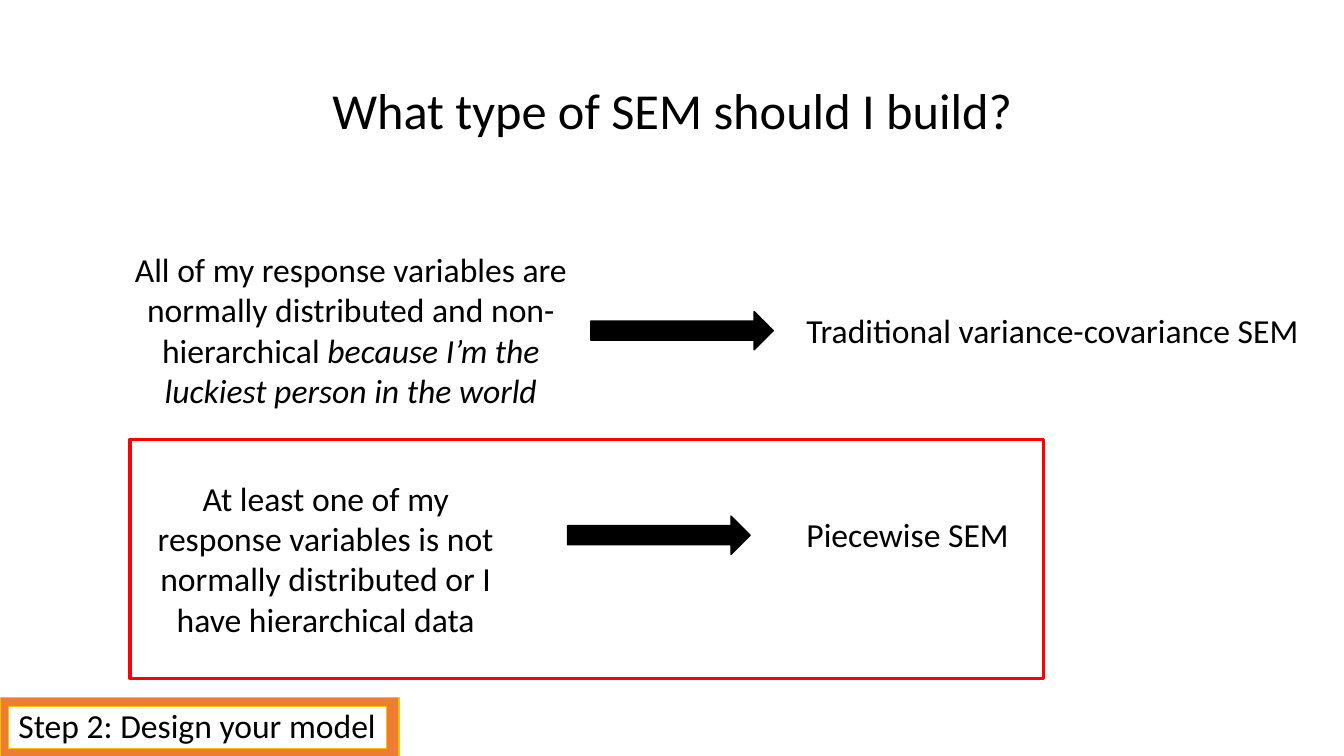
from pptx import Presentation
from pptx.dml.color import RGBColor
from pptx.enum import shapes, text
from pptx.util import Inches, Pt

COLORS = {"black": "000000", "white": "FFFFFF", "orange": "ED7D31",
          "gold": "FFC000", "red": "FF0000"}

presentation = Presentation()
presentation.slide_width = Inches(13.33)
presentation.slide_height = Inches(7.5)
slide = presentation.slides.add_slide(presentation.slide_layouts[6])


def write_text(shape, runs, size=24, align=text.PP_ALIGN.CENTER,
               anchor=text.MSO_ANCHOR.TOP, wrap=True, spacing=1.0):
    """Fill a shape with one paragraph made of (words, italic) runs."""
    frame = shape.text_frame
    frame.word_wrap = wrap
    frame.vertical_anchor = anchor
    paragraph = frame.paragraphs[0]
    paragraph.alignment = align
    paragraph.line_spacing = spacing
    for words, italic in runs:
        run = paragraph.add_run()
        run.text = words
        run.font.name = "Calibri"
        run.font.size = Pt(size)
        run.font.italic = italic
        run.font.color.rgb = RGBColor.from_string(COLORS["black"])


def add_box(kind, left, top, width, height, fill, line, line_width):
    shape = slide.shapes.add_shape(kind, Inches(left), Inches(top), Inches(width), Inches(height))
    shape.shadow.inherit = False
    if fill:
        shape.fill.solid()
        shape.fill.fore_color.rgb = RGBColor.from_string(COLORS[fill])
    else:
        shape.fill.background()
    shape.line.color.rgb = RGBColor.from_string(COLORS[line])
    shape.line.width = Pt(line_width)
    return shape


title = slide.shapes.add_textbox(Inches(0.92), Inches(0.4), Inches(11.5), Inches(1.45))
write_text(title, [("What type of SEM should I build?", False)], size=36,
           anchor=text.MSO_ANCHOR.MIDDLE, spacing=0.9)

conditions = [
    (1.1, 2.42, 4.76, [
        ("All of my response variables are normally distributed and non-hierarchical ", False),
        ("because I’m the luckiest person in the world", True)]),
    (1.29, 4.69, 3.88, [
        ("At least one of my response variables is not normally distributed "
         "or I have hierarchical data", False)]),
]
for left, top, width, runs in conditions:
    condition = slide.shapes.add_textbox(Inches(left), Inches(top), Inches(width), Inches(1.72))
    write_text(condition, runs)

model_types = [(3.03, 5.13, "Traditional variance-covariance SEM"), (5.05, 2.23, "Piecewise SEM")]
for top, width, words in model_types:
    model_type = slide.shapes.add_textbox(Inches(7.9), Inches(top), Inches(width), Inches(0.5))
    write_text(model_type, [(words, False)], align=text.PP_ALIGN.LEFT, wrap=False)

for left, top in [(5.86, 3.09), (5.63, 5.12)]:
    add_box(shapes.MSO_SHAPE.RIGHT_ARROW, left, top, 1.81, 0.38, "black", "black", 1)

rectangle = shapes.MSO_SHAPE.RECTANGLE
step_frame = add_box(rectangle, 0, 6.92, 3.96, 0.59, "orange", "gold", 1)
step_label = add_box(rectangle, 0.08, 7.01, 3.75, 0.42, "white", "gold", 0.75)
write_text(step_label, [("Step 2: Design your model", False)],
           anchor=text.MSO_ANCHOR.MIDDLE, spacing=0.9)
slide.shapes.add_group_shape([step_frame, step_label])

add_box(rectangle, 1.29, 4.36, 9.06, 2.37, None, "red", 2.25)

presentation.save("out.pptx")
